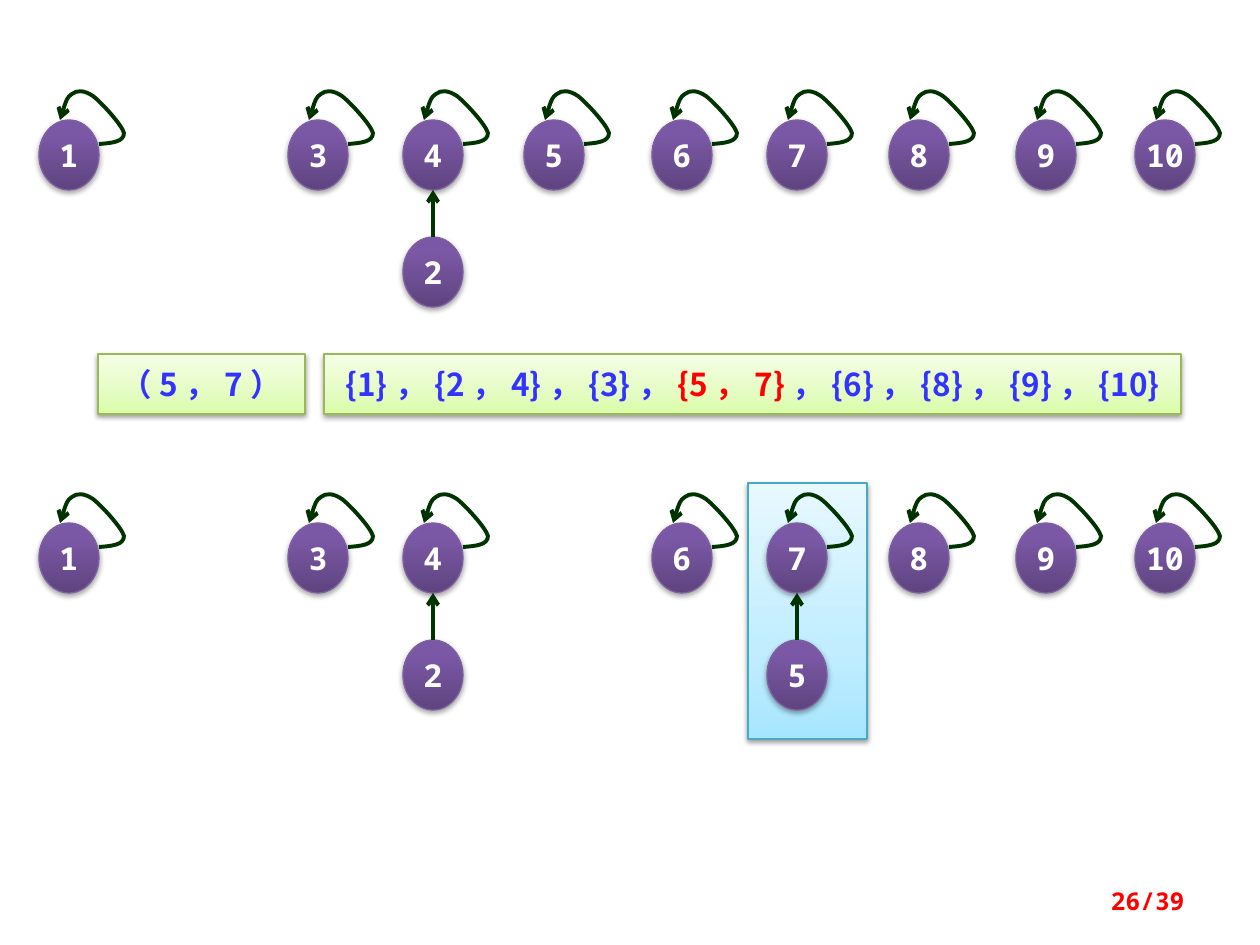
from dataclasses import dataclass

from lxml.etree import SubElement
from pptx import Presentation
from pptx.dml.color import RGBColor
from pptx.enum.shapes import MSO_CONNECTOR as Connector, MSO_SHAPE as Shape
from pptx.enum.text import MSO_ANCHOR as Anchor, PP_ALIGN as Align
from pptx.oxml.ns import qn
from pptx.util import Pt

PX = 914400 / 126


@dataclass(frozen=True)
class Theme:
    sets_font: str = "Noto Sans CJK SC"
    number_font: str = "Noto Sans Mono"
    body_size: int = 18
    page_size: int = 14
    sets: str = "3333FF"
    accent: str = "FF0000"
    node_text: str = "FFFFFF"
    edge: str = "003300"
    edge_width: float = 2.25
    outline_width: float = 0.75
    # Each look: outline colour, shadow opacity, gradient stops from the bottom up
    node: tuple = ("7D60A0", 35, ((0, "5F4480"), (80, "7B58A6"), (100, "7C57A8")))
    panel: tuple = ("98B955", 38, ((0, "DAFDA7"), (35, "E4FCC2"), (100, "F5FFE7")))
    highlight: tuple = ("46AAC5", 38, ((0, "A7E6FF"), (35, "C1EDFF"), (100, "E7F8FF")))


THEME = Theme()
NODE_WIDTH, NODE_HEIGHT = 60, 70
CHILD_DROP = 117
ROOT_LEFT = {1: 39, 3: 288, 4: 403, 5: 524, 6: 652, 7: 767, 8: 889, 9: 1016, 10: 1135}
# Bezier points of a root's self-loop, relative to the node's top left corner
LOOP = ((60, 24), (73, 23), (85, 22), (85, 13), (83, 5), (63, -17), (54, -24),
        (45, -30), (38, -30), (33, -26), (28, -23), (24, -11), (21, 0))


def emu(*lengths):
    return [round(length * PX) for length in lengths]


def rgb(colour):
    return RGBColor.from_string(colour)


def add_colour(parent, colour):
    return SubElement(parent, qn("a:srgbClr"), val=colour)


def add_glossy(shapes, kind, box, look):
    """Add a shape with a vertical gradient, a thin outline and a soft shadow."""
    outline, opacity, stops = look
    shape = shapes.add_shape(kind, *emu(*box))
    shape.line.color.rgb = rgb(outline)
    shape.line.width = Pt(THEME.outline_width)

    shape.fill.gradient()
    shape.fill.gradient_angle = 90
    properties = shape._element.spPr
    stop_list = properties.find(".//" + qn("a:gsLst"))
    stop_list.clear()
    for position, colour in stops:
        add_colour(SubElement(stop_list, qn("a:gs"), pos=str(position * 1000)), colour)

    shape.shadow.inherit = False
    shadow = SubElement(properties.find(qn("a:effectLst")), qn("a:outerShdw"),
                        blurRad=str(Pt(3.1)), dist=str(Pt(1.7)),
                        dir="5400000", rotWithShape="0")
    SubElement(add_colour(shadow, "000000"), qn("a:alpha"), val=str(opacity * 1000))
    return shape


def write(shape, runs, font, size=THEME.body_size, align=Align.CENTER):
    frame = shape.text_frame
    frame.word_wrap = True
    frame.vertical_anchor = Anchor.MIDDLE
    paragraph = frame.paragraphs[0]
    paragraph.alignment = align
    for words, colour in runs:
        run = paragraph.add_run()
        run.text = words
        run.font.name = font
        run.font.size = Pt(size)
        run.font.bold = True
        run.font.color.rgb = rgb(colour)
        SubElement(run._r.get_or_add_rPr(), qn("a:ea"), typeface=font)


def style_edge(edge):
    edge.line.color.rgb = rgb(THEME.edge)
    edge.line.width = Pt(THEME.edge_width)
    SubElement(edge.line._get_or_add_ln(), qn("a:tailEnd"), type="arrow")


def add_panel(shapes, box, runs):
    write(add_glossy(shapes, Shape.RECTANGLE, box, THEME.panel), runs, THEME.sets_font)


def add_node(shapes, number, left, top):
    node = add_glossy(shapes, Shape.OVAL, (left, top, NODE_WIDTH, NODE_HEIGHT), THEME.node)
    node.text_frame.margin_left = node.text_frame.margin_right = 0
    write(node, [(str(number), THEME.node_text)], THEME.number_font)
    return node


def add_self_loop(shapes, left, top):
    start, *controls = [(left + x, top + y) for x, y in LOOP]
    builder = shapes.build_freeform(*start, scale=PX)
    builder.add_line_segments(controls, close=False)
    loop = builder.convert_to_shape()
    outline = loop._element.spPr.find(".//" + qn("a:path"))
    segments = outline.findall(qn("a:lnTo"))
    for first in range(0, len(segments), 3):
        curve = SubElement(outline, qn("a:cubicBezTo"))
        for segment in segments[first:first + 3]:
            curve.append(segment[0])
            outline.remove(segment)
    loop.fill.background()
    loop.shadow.inherit = False
    style_edge(loop)


def add_parent_link(shapes, child, left, root_top):
    middle = left + NODE_WIDTH / 2
    link = shapes.add_connector(Connector.STRAIGHT, *emu(
        middle, root_top + CHILD_DROP, middle, root_top + NODE_HEIGHT))
    link.begin_connect(child, 0)
    SubElement(link._element.spPr, qn("a:effectLst"))
    style_edge(link)


def add_forest(shapes, top, parents):
    """Draw the roots on one line, with each child below its parent."""
    for number, left in ROOT_LEFT.items():
        if number not in parents:
            add_node(shapes, number, left, top)
            add_self_loop(shapes, left, top)
    for number, parent in parents.items():
        left = ROOT_LEFT[parent]
        child = add_node(shapes, number, left, top + CHILD_DROP)
        add_parent_link(shapes, child, left, top)


def add_page_number(shapes, words):
    page = shapes.add_textbox(*emu(903, 876, 294, 50))
    write(page, [(words, THEME.accent)], THEME.number_font, THEME.page_size, Align.RIGHT)


def main():
    deck = Presentation()
    deck.slide_width, deck.slide_height = emu(1260, 945)
    slide = deck.slides.add_slide(deck.slide_layouts[6])

    add_glossy(slide.shapes, Shape.RECTANGLE, (748, 483, 119, 256), THEME.highlight)
    after_union = slide.shapes.add_group_shape().shapes
    add_panel(after_union, (98, 354, 207, 60), [("（5，7）", THEME.sets)])
    add_panel(after_union, (324, 354, 857, 60), [
        ("{1}，{2，4}，{3}，", THEME.sets),
        ("{5，7}", THEME.accent),
        ("，{6}，{8}，{9}，{10}", THEME.sets),
    ])
    add_forest(after_union, 523, {2: 4, 5: 7})

    before_union = slide.shapes.add_group_shape().shapes
    add_forest(before_union, 120, {2: 4})
    add_page_number(slide.shapes, "26/39")
    deck.save("out.pptx")


if __name__ == "__main__":
    main()
